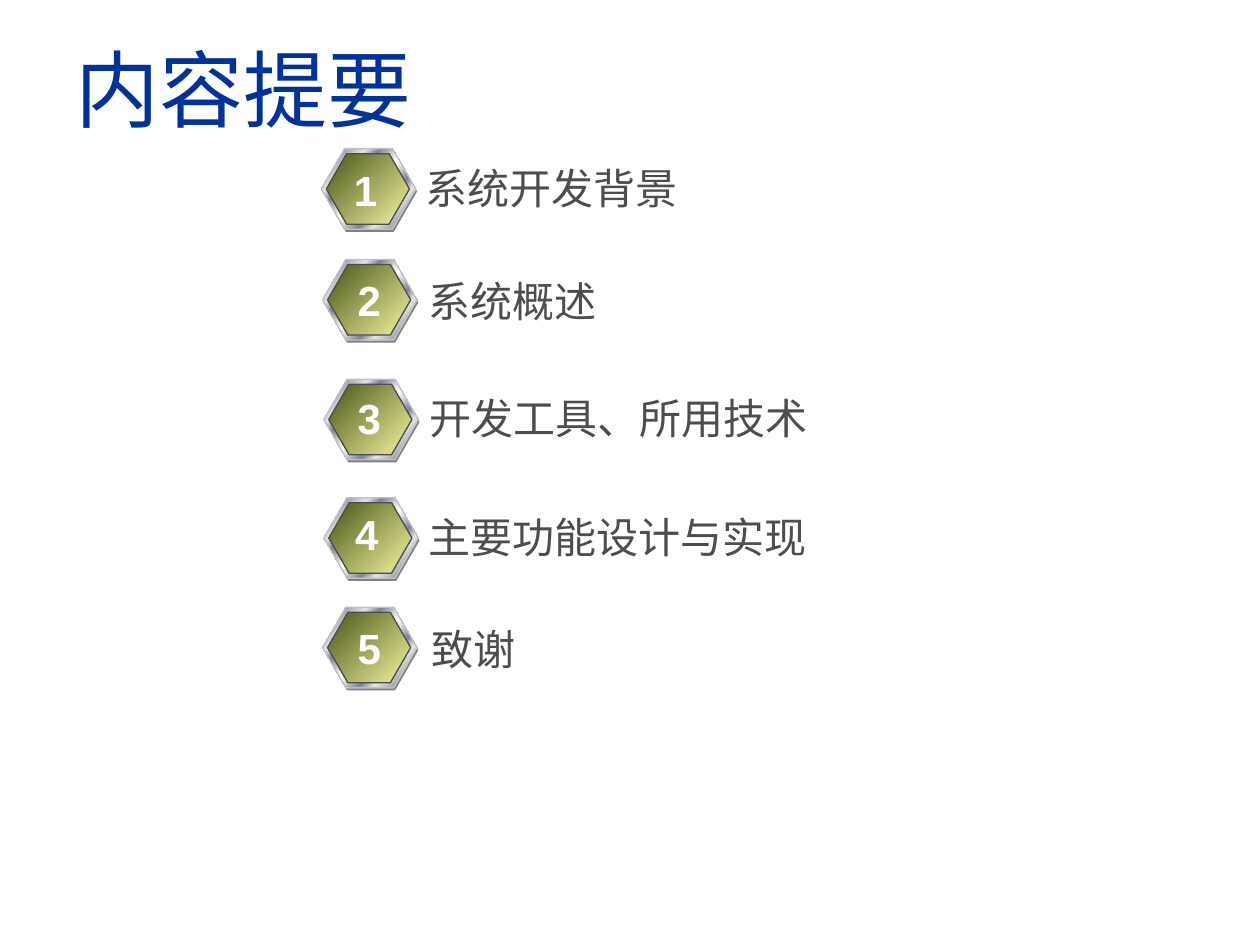
import pptx
import pptx.util
import pptx.dml.color
import pptx.enum.shapes
import pptx.enum.text
import pptx.oxml.ns
import lxml.etree

Inches = pptx.util.Inches
Pt = pptx.util.Pt
qn = pptx.oxml.ns.qn

TITLE = "内容提要"
ITEMS = [
    {"text": "系统开发背景", "badge": (2.55, 1.18), "number": (2.71, 1.26), "label": (3.28, 1.24, 2.2)},
    {"text": "系统概述", "badge": (2.56, 2.06), "number": (2.74, 2.13), "label": (2.97, 2.14, 2.2)},
    {"text": "开发工具、所用技术", "badge": (2.57, 3.01), "number": (2.74, 3.07), "label": (2.98, 3.07, 3.86)},
    {"text": "主要功能设计与实现", "badge": (2.57, 3.95), "number": (2.72, 3.99), "label": (3.08, 4.01, 3.64)},
    {"text": "致谢", "badge": (2.56, 4.82), "number": (2.74, 4.89), "label": (2.66, 4.9, 2.2)},
]
STEEL = [(0, "E6E6E6"), (8, "7D8496"), (26, "E6E6E6"), (34, "7D8496"), (46, "E6E6E6"), (50, "FFFFFF"),
         (54, "E6E6E6"), (66, "7D8496"), (74, "E6E6E6"), (92, "7D8496"), (100, "E6E6E6")]
OLIVE = [(0, "485618"), (100, "F7F5A1")]
HEXAGON_LAYERS = [
    (0.01, 0.02, 0.75, 0.64, [(0, "808080")], None),
    (0, 0, 0.75, 0.64, STEEL, "C0C0C0"),
    (0.04, 0.04, 0.66, 0.56, OLIVE, "4D4D4D"),
]
TEXT_HEIGHT = 0.5
NUMBER_WIDTH = 0.39


def color(value):
    return pptx.dml.color.RGBColor.from_string(value)


def fill_gradient(shape, stops):
    shape.fill.gradient()
    shape.fill.gradient_angle = 315
    stop_list = next(shape._element.spPr.iter(qn("a:gsLst")))
    for stop in list(stop_list):
        stop_list.remove(stop)
    for position, value in stops:
        stop = lxml.etree.SubElement(stop_list, qn("a:gs"), pos=str(position * 1000))
        lxml.etree.SubElement(stop, qn("a:srgbClr"), val=value)


def add_hexagon(shapes, left, top, width, height, stops, line):
    shape = shapes.add_shape(pptx.enum.shapes.MSO_SHAPE.HEXAGON,
                             Inches(left), Inches(top), Inches(width), Inches(height))
    shape.adjustments[0] = 0.289
    shape.shadow.inherit = False
    if len(stops) > 1:
        fill_gradient(shape, stops)
    else:
        shape.fill.solid()
        shape.fill.fore_color.rgb = color(stops[0][1])
    if line:
        shape.line.color.rgb = color(line)
        shape.line.width = Pt(0.75)
    else:
        shape.line.fill.background()


def format_text(shape, text, size, font, value, bold=False):
    shape.text_frame.text = text
    paragraph = shape.text_frame.paragraphs[0]
    run = paragraph.runs[0]
    run.font.size = Pt(size)
    run.font.name = font
    run.font.bold = bold
    run.font.color.rgb = color(value)
    properties = run._r.get_or_add_rPr()
    lxml.etree.SubElement(properties, qn("a:ea"), typeface=font)
    return paragraph


def add_text(shapes, left, top, width, wrap, *style):
    box = shapes.add_textbox(Inches(left), Inches(top), Inches(width), Inches(TEXT_HEIGHT))
    box.text_frame.word_wrap = wrap
    return format_text(box, *style)


presentation = pptx.Presentation()
presentation.slide_width = Inches(10)
presentation.slide_height = Inches(7.5)
slide = presentation.slides.add_slide(presentation.slide_layouts[5])

title = slide.shapes.title
title.left, title.top, title.width, title.height = [Inches(value) for value in (0.5, 0.3, 9, 0.79)]
title_paragraph = format_text(title, TITLE, 48, "Roboto", "003399")
title_paragraph.alignment = pptx.enum.text.PP_ALIGN.LEFT
title.text_frame.vertical_anchor = pptx.enum.text.MSO_ANCHOR.MIDDLE
title.text_frame.auto_size = pptx.enum.text.MSO_AUTO_SIZE.NONE

for number, item in enumerate(ITEMS, 1):
    badge = slide.shapes.add_group_shape()
    badge_left, badge_top = item["badge"]
    for left, top, width, height, stops, line in HEXAGON_LAYERS:
        add_hexagon(badge.shapes, badge_left + left, badge_top + top, width, height, stops, line)
    add_text(badge.shapes, *item["number"], NUMBER_WIDTH, False, str(number), 24, "Arial", "FFFFFF", True)
    label = add_text(slide.shapes, *item["label"], True, item["text"], 24, "Noto Sans CJK SC", "4D4D4D")
    label.alignment = pptx.enum.text.PP_ALIGN.CENTER

presentation.save("out.pptx")
